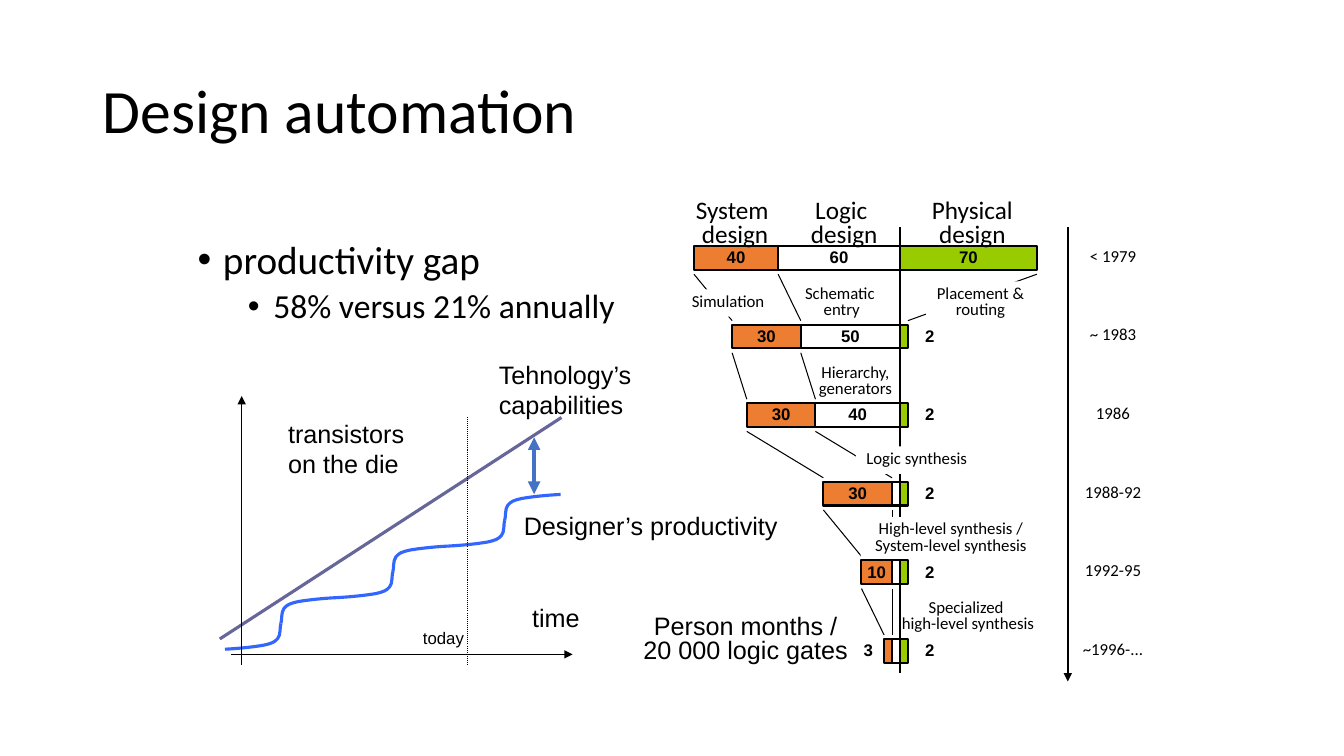
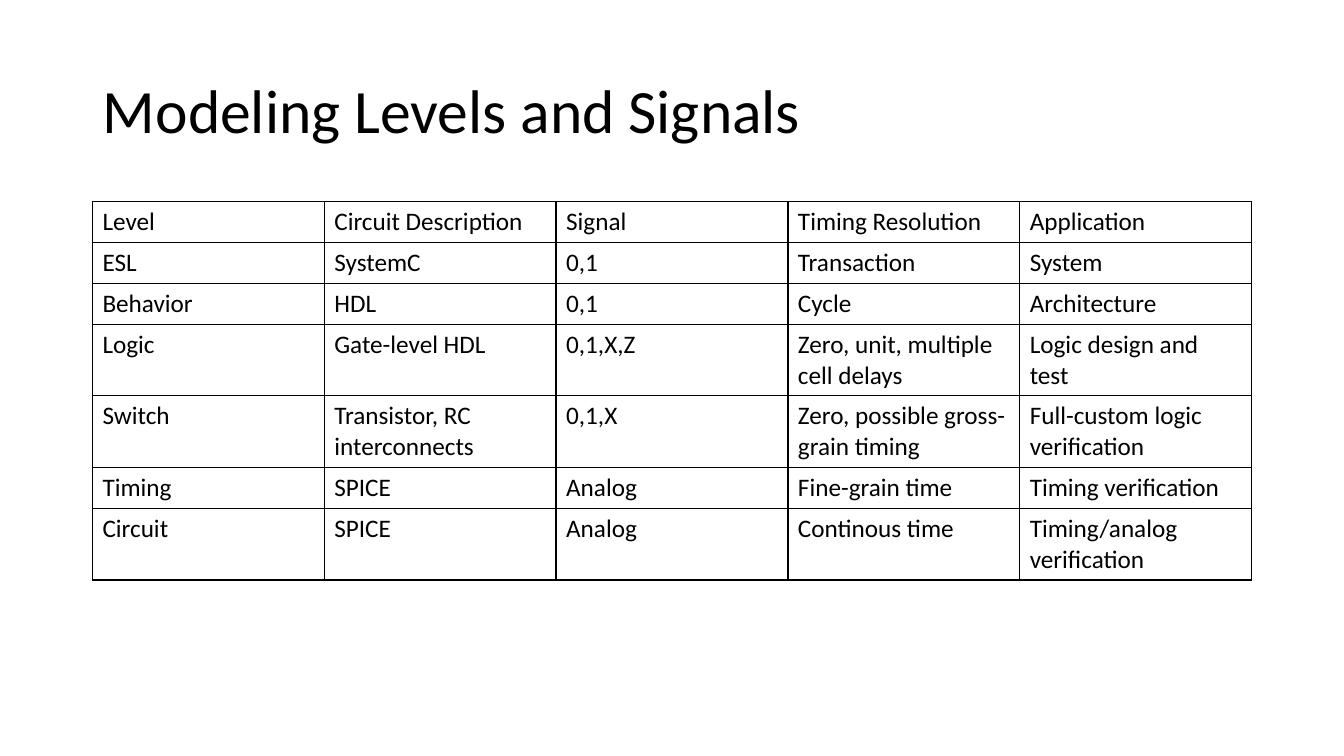
from dataclasses import dataclass

from lxml import etree
from pptx import Presentation
from pptx.dml.color import RGBColor
from pptx.enum.dml import MSO_LINE as Dash
from pptx.enum.shapes import MSO_CONNECTOR as Connector, MSO_SHAPE as Preset
from pptx.enum.text import MSO_ANCHOR as Anchor, MSO_AUTO_SIZE as AutoSize, PP_ALIGN as Align
from pptx.oxml.ns import qn
from pptx.util import Cm, Pt


@dataclass(frozen=True)
class Theme:
    heading_font: str = "Calibri"
    label_font: str = "Arial"
    ink: str = "000000"
    paper: str = "FFFFFF"
    system: str = "ED7D31"
    physical: str = "99CC00"
    trend: str = "666699"
    steps: str = "3366FF"
    gap: str = "4472C4"
    title: int = 44
    bullet: int = 28
    subbullet: int = 24
    body: int = 18
    small: int = 12


THEME = Theme()


def write(frame, text, size=THEME.body, font=THEME.heading_font, bold=False,
          align=Align.LEFT, spacing=None, anchor=Anchor.TOP, wrap=False):
    frame.word_wrap = wrap
    frame.auto_size = AutoSize.NONE
    frame.vertical_anchor = anchor
    for index, line in enumerate(text.split("\n")):
        para = frame.paragraphs[0] if index == 0 else frame.add_paragraph()
        para.alignment = align
        if spacing:
            para.line_spacing = spacing
        span = para.add_run()
        span.text = line
        span.font.size = Pt(size)
        span.font.name = font
        span.font.bold = bold
        span.font.color.rgb = RGBColor.from_string(THEME.ink)


def add_child(parent, tag, **attributes):
    child = etree.SubElement(parent, qn(tag))
    for name, value in attributes.items():
        child.set(name, value)
    return child


def paint(fill, color):
    fill.solid()
    fill.fore_color.rgb = RGBColor.from_string(color)


class SlideWriter:
    def __init__(self, theme):
        self.theme = theme
        self.deck = Presentation()
        self.deck.slide_width, self.deck.slide_height = Cm(33.87), Cm(19.05)
        self.page = None

    def start(self, title):
        self.page = self.deck.slides.add_slide(self.deck.slide_layouts[5])
        box = self.page.shapes.title
        box.left, box.top, box.width, box.height = Cm(2.34), Cm(1.01), Cm(29.21), Cm(3.68)
        write(box.text_frame, title, size=self.theme.title, spacing=0.9,
              anchor=Anchor.MIDDLE, wrap=True)

    def label(self, text, left, top, width, height, fill=None, **style):
        box = self.page.shapes.add_textbox(Cm(left), Cm(top), Cm(width), Cm(height))
        if fill:
            paint(box.fill, fill)
        write(box.text_frame, text, **style)

    def bullets(self, items, left, top, width, height):
        box = self.page.shapes.add_textbox(Cm(left), Cm(top), Cm(width), Cm(height))
        frame = box.text_frame
        write(frame, "\n".join(text for text, level in items), spacing=0.9, wrap=True)
        sizes = (self.theme.bullet, self.theme.subbullet)
        for index, (para, (text, level)) in enumerate(zip(frame.paragraphs, items)):
            para.level = level
            para.space_before = Pt(5 if index else 0)
            properties = para._p.get_or_add_pPr()
            properties.set("marL", str(Cm(0.64 + 1.27 * level)))
            properties.set("indent", str(Cm(-0.64)))
            add_child(properties, "a:buFont", typeface=self.theme.label_font)
            add_child(properties, "a:buChar", char="•")
            para.runs[0].font.size = Pt(sizes[level])

    def line(self, start, end, color=THEME.ink, width=0.75, dash=None, arrows=()):
        shape = self.page.shapes.add_connector(
            Connector.STRAIGHT, *(Cm(value) for value in (*start, *end)))
        shape.line.color.rgb = RGBColor.from_string(color)
        shape.line.width = Pt(width)
        if dash:
            shape.line.dash_style = dash
        outline = shape.line._get_or_add_ln()
        for arrow in arrows:
            add_child(outline, f"a:{arrow}End", type="triangle")
        add_child(shape._element.spPr, "a:effectLst")

    def curve(self, nodes, color, width):
        points = [(Cm(x), Cm(y)) for x, y in nodes]
        builder = self.page.shapes.build_freeform(*points[0])
        builder.add_line_segments(points[1:], close=False)
        shape = builder.convert_to_shape()
        segments = list(shape._element.iter(qn("a:lnTo")))
        outline = segments[0].getparent()
        for first in range(0, len(segments), 3):
            bend = add_child(outline, "a:cubicBezTo")
            for segment in segments[first:first + 3]:
                bend.append(segment[0])
                outline.remove(segment)
        shape.shadow.inherit = False
        shape.fill.background()
        shape.line.color.rgb = RGBColor.from_string(color)
        shape.line.width = Pt(width)

    def bar(self, left, top, width, height, color):
        shape = self.page.shapes.add_shape(
            Preset.RECTANGLE, Cm(left), Cm(top), Cm(width), Cm(height))
        shape.shadow.inherit = False
        paint(shape.fill, color)
        shape.line.color.rgb = RGBColor.from_string(self.theme.ink)
        shape.line.width = Pt(1.5)

    def number(self, text, center, top):
        width = 1.2
        self.label(text, center - width / 2, top, width, 0.76, size=self.theme.small,
                   font=self.theme.label_font, bold=True, align=Align.CENTER)

    def table(self, rows, left, top, width, row_height):
        columns = len(rows[0])
        table = self.page.shapes.add_table(
            len(rows), columns, Cm(left), Cm(top), Cm(width), Cm(row_height * len(rows))).table
        table.first_row = table.horz_banding = False
        for column in table.columns:
            column.width = Cm(width / columns)
        for row, texts in zip(table.rows, rows):
            row.height = Cm(row_height)
            for cell, text in zip(row.cells, texts):
                write(cell.text_frame, text, wrap=True)
                properties = cell._tc.get_or_add_tcPr()
                for side in "LRTB":
                    border = add_child(properties, f"a:ln{side}", w=str(Pt(1)))
                    add_child(add_child(border, "a:solidFill"), "a:srgbClr", val=self.theme.ink)
                cell.fill.background()


def staircase(left, bottom, count):
    run, rise = 1.41, 0.65
    half = [(0, 0), (0.38, 0.02), (0.74, 0.06), (0.97, 0.1), (1.2, 0.15),
            (1.25, 0.18), (1.33, 0.27), (1.41, 0.36), (1.38, 0.58), (run, rise)]
    turned = [(run - x, rise - y) for x, y in half]
    for step in range(count):
        nodes = turned if step % 2 else half
        yield [(left + run * step + x, bottom - rise * step - y) for x, y in nodes]


def productivity_graph(writer):
    theme = writer.theme
    labels = [
        ("transistors\non the die", 7.01, 10.41, 3.48, 1.8, theme.body),
        ("Tehnology’s\ncapabilities", 12.32, 8.92, 3.89, 1.8, theme.body),
        ("Designer’s productivity", 12.95, 12.73, 6.96, 1.02, theme.body),
        ("today", 10.41, 15.7, 1.55, 0.76, theme.small),
        ("time", 13.16, 15.06, 1.73, 1.02, theme.body),
    ]
    for text, left, top, width, height, size in labels:
        writer.label(text, left, top, width, height, size=size, font=theme.label_font)
    writer.line((5.54, 16.1), (14.15, 10.52), color=theme.trend, width=2.25)
    for nodes in staircase(5.67, 16.36, 6):
        writer.curve(nodes, theme.steps, 2.25)
    writer.line((5.82, 16.49), (14.43, 16.49), arrows=["tail"])
    writer.line((6.09, 16.76), (6.09, 9.98), arrows=["tail"])
    writer.line((11.79, 16.76), (11.79, 10.51), dash=Dash.ROUND_DOT)
    writer.line((13.46, 11.02), (13.46, 12.45), color=theme.gap, width=3,
                arrows=["head", "tail"])


def effort_history(writer):
    theme = writer.theme
    axis, first_top, pitch, height = 22.68, 6.2, 1.98, 0.6
    eras = [
        ("< 1979", ("40", 2.12), ("60", 3.07), ("70", 3.45)),
        ("~ 1983", ("30", 1.73), ("50", 2.5), ("2", 0.2)),
        ("1986", ("30", 1.73), ("40", 2.13), ("2", 0.2)),
        ("1988-92", ("30", 1.73), ("", 0.2), ("2", 0.2)),
        ("1992-95", ("10", 0.77), ("", 0.2), ("2", 0.2)),
        ("~1996-...", ("3", 0.2), ("", 0.2), ("2", 0.2)),
    ]
    notes = [
        ("Simulation", 17.17, 7.29, 2.36, theme.paper),
        ("Schematic \nentry", 20.02, 7.09, 2.39, theme.paper),
        ("Placement &\nrouting", 23.34, 7.09, 2.74, theme.paper),
        ("Hierarchy,\ngenerators", 20.38, 9.08, 2.36, None),
        ("Logic synthesis", 21.57, 11.25, 3.07, theme.paper),
        ("High-level synthesis /\nSystem-level synthesis", 21.69, 13.03, 4.55, theme.paper),
        ("Specialized \nhigh-level synthesis", 22.45, 15, 3.89, None),
    ]
    headers = [("System \ndesign", 17.27, 2.51), ("Logic \ndesign", 20.17, 2.21),
               ("Physical\ndesign", 23.22, 2.57)]
    centred = {"align": Align.CENTER, "spacing": 0.8}

    edges = []
    for year, system, logic, physical in eras:
        middle = axis - logic[1]
        edges.append((middle - system[1], middle, axis + physical[1]))

    def link(row, edge):
        top = first_top + pitch * row
        writer.line((edges[row][edge], top + 0.71), (edges[row + 1][edge], top + pitch - 0.1))

    writer.line((axis, 5.72), (axis, 16.97), width=1.5)
    link(0, 2)
    for row in range(len(eras) - 1):
        link(row, 0)
        if row:
            link(row, 1)
    for text, left, top, width, fill in notes:
        writer.label(text, left, top, width, 1.09 if "\n" in text else 0.69,
                     fill=fill, size=theme.small, **centred)
    link(0, 1)

    for row, (year, system, logic, physical) in enumerate(eras):
        top = first_top + pitch * row
        left, middle, right = edges[row]
        bars = [(system, left, theme.system, 21.88), (logic, middle, theme.paper, None),
                (physical, axis, theme.physical, 23.43)]
        for (months, width), start, color, outside in bars:
            writer.bar(start, top, width, height, color)
            if months:
                writer.number(months, start + width / 2 if width > 0.5 else outside, top - 0.1)
        writer.label(year, 27.03, top - 0.04, 2.04, 0.69, size=theme.small, **centred)

    for text, left, width in headers:
        writer.label(text, left, 4.92, width, 1.5, **centred)
    writer.line((26.91, 5.72), (26.91, 17.17), width=1.5, arrows=["tail"])
    writer.label("Person months /\n20 000 logic gates", 15.93, 15.39, 5.72, 1.5,
                 font=theme.label_font, **centred)


def main():
    writer = SlideWriter(THEME)
    writer.start("Design automation")
    writer.bullets([("productivity gap", 0), ("58% versus 21% annually", 1)],
                   4.73, 5.93, 12.8, 4.24)
    productivity_graph(writer)
    effort_history(writer)

    writer.start("Modeling Levels and Signals")
    writer.table([
        ("Level", "Circuit Description", "Signal", "Timing Resolution", "Application"),
        ("ESL", "SystemC", "0,1", "Transaction", "System"),
        ("Behavior", "HDL", "0,1", "Cycle", "Architecture"),
        ("Logic", "Gate-level HDL", "0,1,X,Z", "Zero, unit, multiple cell delays",
         "Logic design and test"),
        ("Switch", "Transistor, RC interconnects", "0,1,X",
         "Zero, possible gross-grain timing", "Full-custom logic verification"),
        ("Timing", "SPICE", "Analog", "Fine-grain time", "Timing verification"),
        ("Circuit", "SPICE", "Analog", "Continous time", "Timing/analog verification"),
    ], 2.33, 5.08, 29.21, 1.03)
    writer.deck.save("out.pptx")


if __name__ == "__main__":
    main()
